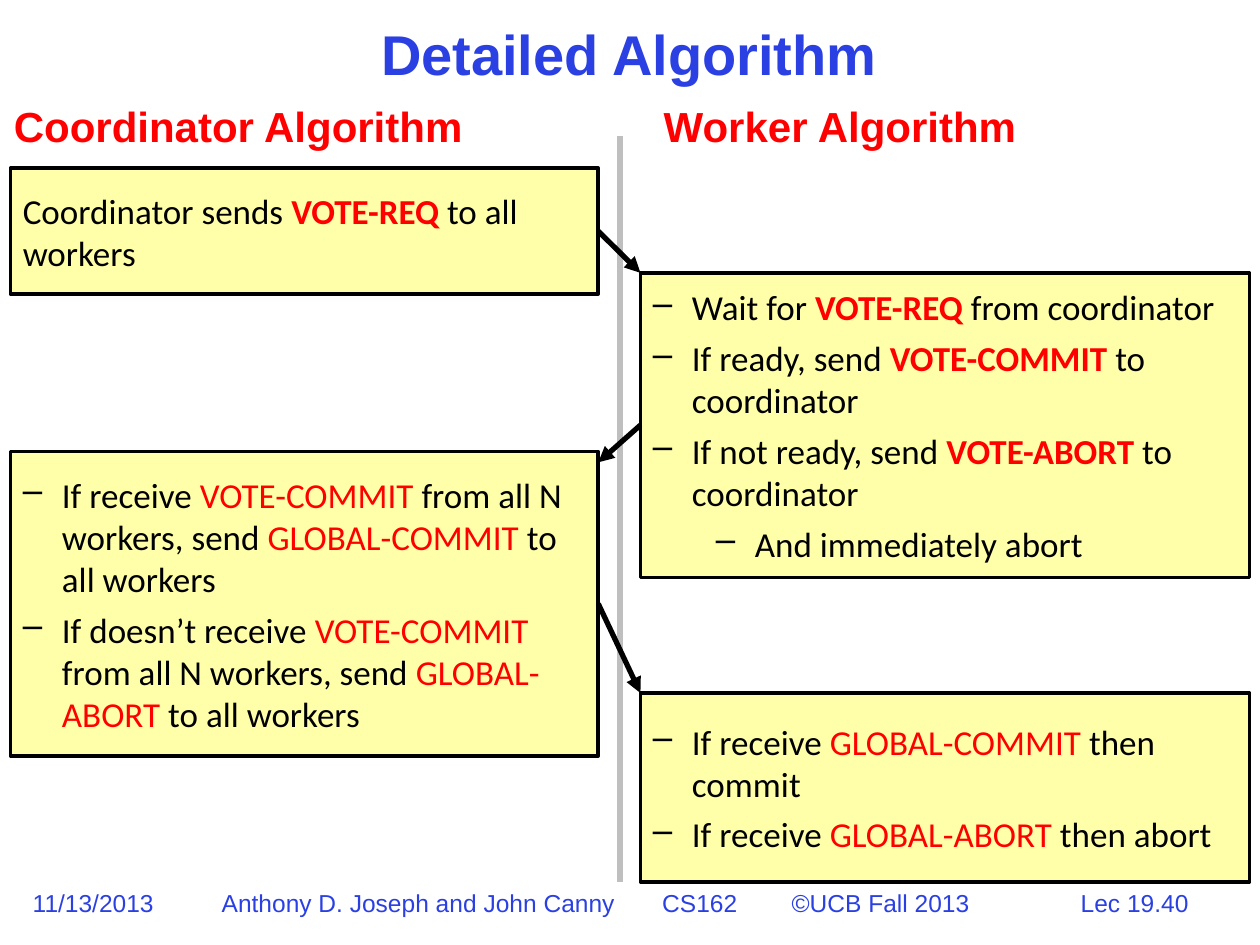
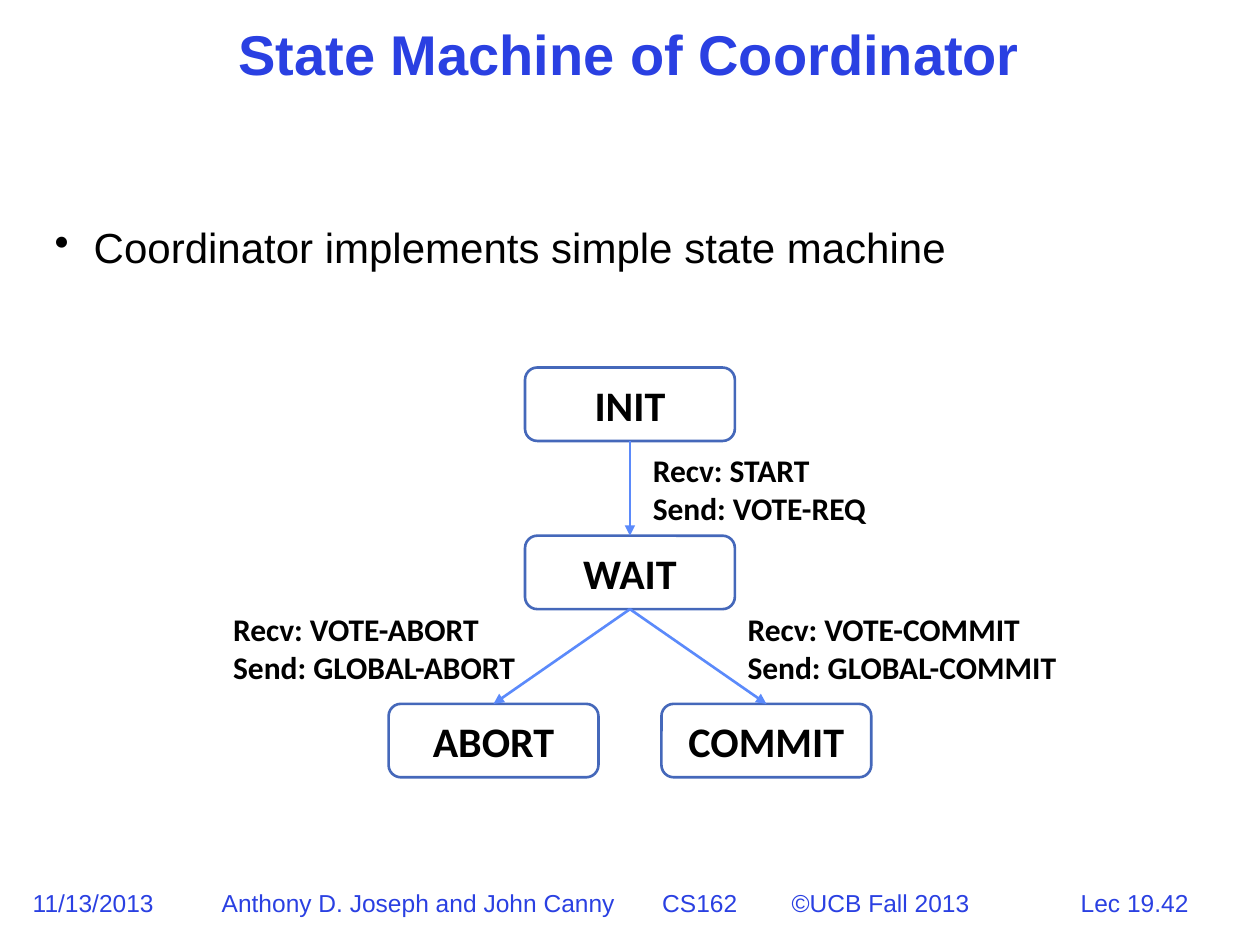
"""Build two slides on the two-phase commit algorithm."""
from lxml import etree
from pptx import Presentation
from pptx.dml.color import RGBColor
from pptx.enum.shapes import MSO_CONNECTOR, MSO_SHAPE
from pptx.enum.text import MSO_ANCHOR, MSO_AUTO_SIZE, PP_ALIGN
from pptx.oxml.ns import qn
from pptx.util import Cm, Pt

BLUE = RGBColor(0x2A, 0x40, 0xE2)
RED = RGBColor(0xFF, 0x00, 0x00)
BLACK = RGBColor(0x00, 0x00, 0x00)
YELLOW = RGBColor(0xFF, 0xFF, 0xAA)
GRAY = RGBColor(0xBF, 0xBF, 0xBF)
STATE_LINE = RGBColor(0x45, 0x68, 0xBA)
STATE_ARROW = RGBColor(0x5B, 0x8A, 0xFB)

HEAD_FONT, BODY_FONT = "Arial", "Calibri"
LEFT, CENTER = PP_ALIGN.LEFT, PP_ALIGN.CENTER
MIDDLE = MSO_ANCHOR.MIDDLE
NO_FIT = MSO_AUTO_SIZE.NONE
RECT, ROUND_RECT = MSO_SHAPE.RECTANGLE, MSO_SHAPE.ROUNDED_RECTANGLE
STRAIGHT = MSO_CONNECTOR.STRAIGHT
TOP_SITE, BOTTOM_SITE = 0, 2

INDENT, LEVEL_STEP = Cm(0.79), Cm(1.27)
COLUMNS = ((0.21, 11.85), (12.91, 12.28))
STATE_W, STATE_H, STATE_TOP, STATE_STEP = 4.23, 1.48, 7.41, 3.39
FOOTER = "Anthony D. Joseph and John Canny\tCS162\t©UCB Fall 2013"
FOOTER_TABS = (Cm(8.88), Cm(11.49))


def format_runs(p, size, color, font=HEAD_FONT, bold=False):
    """Give every run of a paragraph the same look."""
    for r in p.runs:
        r.font.name, r.font.size, r.font.bold = font, Pt(size), bold
        r.font.color.rgb = color


def add_bullet(p, char, level=0):
    """Give a paragraph a hanging bullet."""
    pPr = p._p.get_or_add_pPr()
    pPr.set("marL", str(INDENT + level * LEVEL_STEP))
    pPr.set("indent", str(-INDENT))
    etree.SubElement(pPr, qn("a:buChar")).set("char", char)


def add_tabs(p, stops):
    """Add left tab stops to a paragraph."""
    tabs = etree.SubElement(p._p.get_or_add_pPr(), qn("a:tabLst"))
    for stop in stops:
        tab = etree.SubElement(tabs, qn("a:tab"))
        tab.set("pos", str(stop))
        tab.set("algn", "l")


def add_text(slide, text, x, y, w, h, size, color=BLACK, font=HEAD_FONT,
             bold=False, align=LEFT):
    """Add a text box and return its first paragraph."""
    tf = slide.shapes.add_textbox(Cm(x), Cm(y), Cm(w), Cm(h)).text_frame
    tf.word_wrap = True
    tf.text = text
    for p in tf.paragraphs:
        p.alignment = align
        format_runs(p, size, color, font, bold)
    return tf.paragraphs[0]


def add_slide(prs, title, number):
    """Add a slide with its title and footer."""
    slide = prs.slides.add_slide(prs.slide_layouts[5])
    sp = slide.shapes.title
    sp.left, sp.top, sp.width, sp.height = Cm(2.74), Cm(0.43), Cm(19.89), Cm(1.47)
    tf = sp.text_frame
    tf.text = title
    tf.auto_size, tf.vertical_anchor = NO_FIT, MIDDLE
    p = tf.paragraphs[0]
    p.alignment, p.line_spacing = CENTER, 0.9
    format_runs(p, 32, BLUE, bold=True)

    add_text(slide, "11/13/2013", 0.41, 17.77, 3.2, 0.84, 14, BLUE)
    add_tabs(add_text(slide, FOOTER, 4.22, 17.77, 15.8, 0.84, 14, BLUE), FOOTER_TABS)
    add_text(slide, f"Lec {number}", 20.68, 17.77, 4.39, 0.84, 14, BLUE, align=CENTER)
    return slide


def add_box(slide, kind, x, y, w, h, line, width):
    """Add an unfilled outlined shape with middle-anchored text."""
    sp = slide.shapes.add_shape(kind, Cm(x), Cm(y), Cm(w), Cm(h))
    sp.shadow.inherit = False
    sp.fill.background()
    sp.line.color.rgb, sp.line.width = line, Pt(width)
    sp.text_frame.word_wrap = True
    sp.text_frame.vertical_anchor = MIDDLE
    return sp


def add_step(slide, column, y, h, items, bold=False, bullet=True):
    """Add a yellow step box; items are (level, text) with *messages* in red."""
    x, w = COLUMNS[column]
    sp = add_box(slide, RECT, x, y, w, h, BLACK, 2)
    sp.fill.solid()
    sp.fill.fore_color.rgb = YELLOW
    tf = sp.text_frame
    for i, (level, text) in enumerate(items):
        p = tf.add_paragraph() if i else tf.paragraphs[0]
        p.alignment = LEFT
        if bullet:
            add_bullet(p, "–", level)
        if i:
            p.space_before = Pt(5)
        for j, part in enumerate(text.split("*")):
            p.add_run().text = part
        format_runs(p, 20, BLACK, BODY_FONT)
        for r in p.runs[1::2]:
            r.font.color.rgb, r.font.bold = RED, bold
    return sp


def add_state(slide, name, offset, row):
    """Add a state, offset from the slide centre."""
    sp = add_box(slide, ROUND_RECT, 12.7 + offset - STATE_W / 2,
                 STATE_TOP + row * STATE_STEP, STATE_W, STATE_H, STATE_LINE, 1.5)
    tf = sp.text_frame
    tf.margin_left = tf.margin_right = tf.margin_top = tf.margin_bottom = 0
    tf.text = name
    tf.paragraphs[0].alignment = CENTER
    format_runs(tf.paragraphs[0], 24, BLACK, BODY_FONT, True)
    return sp


def add_line(slide, start, end, color, width, arrow=True):
    """Add a straight line between two points."""
    line = slide.shapes.add_connector(STRAIGHT, *start, *end)
    line.line.color.rgb, line.line.width = color, Pt(width)
    if arrow:
        ln = line.line._get_or_add_ln()
        etree.SubElement(ln, qn("a:tailEnd")).set("type", "triangle")
    etree.SubElement(line._element.spPr, qn("a:effectLst"))
    return line


def add_transition(slide, source, target):
    """Connect the bottom of one state to the top of another."""
    line = add_line(slide, (0, 0), (0, 0), STATE_ARROW, 1.5)
    line.begin_connect(source, BOTTOM_SITE)
    line.end_connect(target, TOP_SITE)


def right_middle(sp):
    """Return the middle of the right edge."""
    return sp.left + sp.width, sp.top + sp.height // 2


def build_algorithm(prs):
    """Build the slide with the message exchange."""
    slide = add_slide(prs, "Detailed Algorithm", "19.40")
    add_line(slide, (Cm(12.5), Cm(2.75)), (Cm(12.5), Cm(17.78)), GRAY, 3, arrow=False)
    add_text(slide, "Coordinator Algorithm", 0.03, 1.91, 11, 1.27, 24, RED, bold=True)
    add_text(slide, "Worker Algorithm", 13.13, 1.91, 9, 1.27, 24, RED, bold=True)

    request = add_step(slide, 0, 3.39, 2.54, [
        (0, "Coordinator sends *VOTE-REQ *to all workers")], bold=True, bullet=False)
    vote = add_step(slide, 1, 5.5, 6.14, [
        (0, "Wait for *VOTE-REQ *from coordinator"),
        (0, "If ready, send *VOTE-COMMIT *to coordinator"),
        (0, "If not ready, send *VOTE-ABORT *to coordinator"),
        (1, "And immediately abort")], bold=True)
    decide = add_step(slide, 0, 9.1, 6.14, [
        (0, "If receive *VOTE-COMMIT *from all N workers, send "
            "*GLOBAL-COMMIT* to all workers"),
        (0, "If doesn’t receive *VOTE-COMMIT *from all N workers, send "
            "*GLOBAL-ABORT* to all workers")])
    finish = add_step(slide, 1, 13.97, 3.81, [
        (0, "If receive *GLOBAL-COMMIT *then commit"),
        (0, "If receive *GLOBAL-ABORT *then abort")])

    vote_sent = (vote.left, vote.top + vote.height // 2)
    vote_received = (decide.left + decide.width, decide.top + Cm(0.22))
    for start, end in ((right_middle(request), (vote.left, vote.top)),
                       (vote_sent, vote_received),
                       (right_middle(decide), (finish.left, finish.top))):
        add_line(slide, start, end, BLACK, 3)


def build_state_machine(prs):
    """Build the slide with the coordinator states."""
    slide = add_slide(prs, "State Machine of Coordinator", "19.42")
    p = add_text(slide, "Coordinator implements simple state machine",
                 0.85, 4.45, 22.86, 1.5, 24)
    add_bullet(p, "•")
    p.line_spacing = 0.9

    init = add_state(slide, "INIT", 0, 0)
    wait = add_state(slide, "WAIT", 0, 1)
    abort = add_state(slide, "ABORT", -2.75, 2)
    commit = add_state(slide, "COMMIT", 2.75, 2)
    for source, target in ((init, wait), (wait, abort), (wait, commit)):
        add_transition(slide, source, target)
    for received, sent, x, y in (("START", "VOTE-REQ", 12.91, 8.97),
                                 ("VOTE-ABORT", "GLOBAL-ABORT", 4.45, 12.17),
                                 ("VOTE-COMMIT", "GLOBAL-COMMIT", 14.82, 12.17)):
        add_text(slide, f"Recv: {received}\nSend: {sent}", x, y, 8.04, 1.78, 18,
                 font=BODY_FONT, bold=True)


def main():
    """Build and save the presentation."""
    prs = Presentation()
    prs.slide_width, prs.slide_height = Cm(25.4), Cm(19.05)
    build_algorithm(prs)
    build_state_machine(prs)
    prs.save("out.pptx")


if __name__ == "__main__":
    main()
